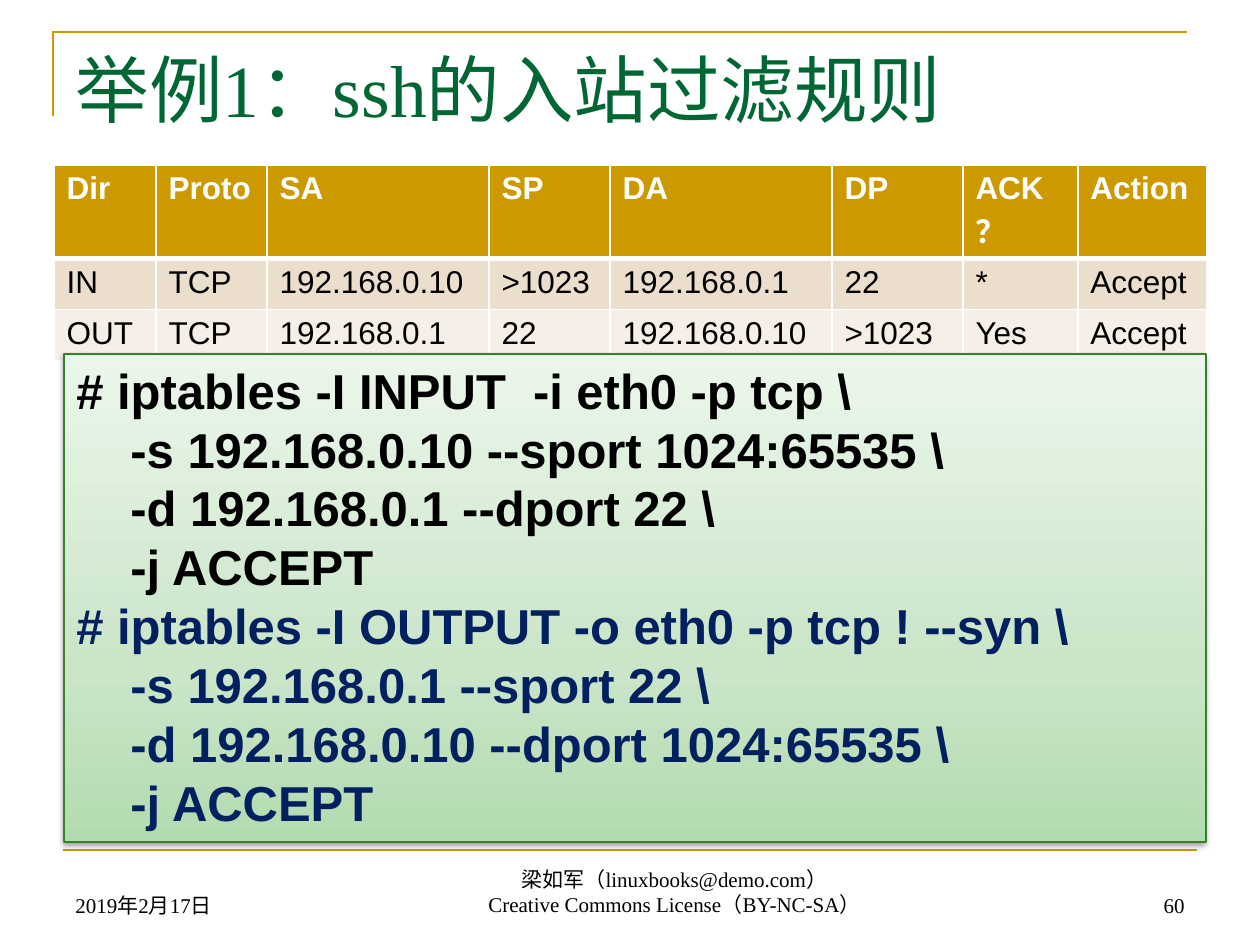
from lxml.etree import SubElement
from pptx import Presentation
from pptx.dml.color import RGBColor
from pptx.enum.shapes import MSO_CONNECTOR, MSO_SHAPE
from pptx.enum.text import MSO_ANCHOR, MSO_AUTO_SIZE, PP_ALIGN
from pptx.oxml import parse_xml
from pptx.oxml.ns import nsdecls, qn
from pptx.util import Emu, Pt

GOLD = RGBColor(0xCC, 0x99, 0x00)
GREEN = RGBColor(0x00, 0x66, 0x33)
EDGE = RGBColor(0x38, 0x80, 0x2C)
NAVY = RGBColor(0x00, 0x20, 0x60)
BLACK = RGBColor(0x00, 0x00, 0x00)
WHITE = RGBColor(0xFF, 0xFF, 0xFF)
SAND = RGBColor(0xEC, 0xDE, 0xCC)
CREAM = RGBColor(0xF6, 0xEF, 0xE7)
MINT = [(0, RGBColor(0xB3, 0xDB, 0xB0)), (35, RGBColor(0xCA, 0xE5, 0xC8)),
        (100, RGBColor(0xEB, 0xF6, 0xEA))]
SERIF, SANS = "Times New Roman", "Arial"

WIDTHS = [102, 111, 222, 121, 222, 131, 115, 129]
RULES = [
    ["Dir", "Proto", "SA", "SP", "DA", "DP", "ACK？", "Action"],
    ["IN", "TCP", "192.168.0.10", ">1023", "192.168.0.1", "22", "*", "Accept"],
    ["OUT", "TCP", "192.168.0.1", "22", "192.168.0.10", ">1023", "Yes", "Accept"],
]
INPUT = ["# iptables -I INPUT  -i eth0 -p tcp \\",
         "-s 192.168.0.10 --sport 1024:65535 \\",
         "-d 192.168.0.1 --dport 22 \\",
         "-j ACCEPT"]
OUTPUT = ["# iptables -I OUTPUT -o eth0 -p tcp ! --syn \\",
          "-s 192.168.0.1 --sport 22 \\",
          "-d 192.168.0.10 --dport 1024:65535 \\",
          "-j ACCEPT"]


def px(n):
    return Emu(round(n * 914400 / 126))


class Deck:
    def __init__(self):
        self.prs = Presentation()
        self.prs.slide_width, self.prs.slide_height = px(1260), px(945)
        self.slide = self.prs.slides.add_slide(self.prs.slide_layouts[5])
        self.shapes = self.slide.shapes

    def style(self, para, size, color, face=SERIF, bold=False):
        for run in para.runs:
            font = run.font
            font.size, font.name, font.bold = Pt(size), face, bold
            font.color.rgb = color

    def title(self, text, x, y, w, h):
        box = self.shapes.title
        box.left, box.top, box.width, box.height = map(px, (x, y, w, h))
        frame = box.text_frame
        frame.text = text
        frame.vertical_anchor = MSO_ANCHOR.TOP
        frame.auto_size = MSO_AUTO_SIZE.NONE
        frame.paragraphs[0].alignment = PP_ALIGN.LEFT
        self.style(frame.paragraphs[0], 42, GREEN)

    def corner(self, *points):
        pen = self.shapes.build_freeform(*map(px, points[0]), scale=1.0)
        pen.add_line_segments([tuple(map(px, p)) for p in points[1:]], close=False)
        shape = pen.convert_to_shape()
        shape.shadow.inherit = False
        shape.fill.background()
        shape.line.color.rgb, shape.line.width = GOLD, Pt(1.5)

    def rule(self, x, y, end):
        line = self.shapes.add_connector(
            MSO_CONNECTOR.STRAIGHT, px(x), px(y), px(end), px(y))
        line.line.color.rgb, line.line.width = GOLD, Pt(1.5)
        SubElement(line._element.spPr, qn("a:effectLst"))

    def note(self, text, x, y, w, h, align):
        frame = self.shapes.add_textbox(*map(px, (x, y, w, h))).text_frame
        frame.word_wrap = True
        frame.vertical_anchor = MSO_ANCHOR.BOTTOM
        frame.text = text
        for para in frame.paragraphs:
            para.alignment = align
            self.style(para, 12, BLACK)

    def border(self, cell, head, first):
        # Borders must precede the fill in the cell properties
        thick = {"L": 1, "R": 1, "T": 3 if first else 1, "B": 3 if head else 1}
        for i, side in enumerate("LRTB"):
            cell._tc.get_or_add_tcPr().insert(i, parse_xml(
                f'<a:ln{side} {nsdecls("a")} w="{Pt(thick[side])}"><a:solidFill>'
                f'<a:srgbClr val="{WHITE}"/></a:solidFill></a:ln{side}>'))

    def table(self, rows, widths, x, y, high):
        grid = self.shapes.add_table(
            len(rows), len(widths), px(x), px(y),
            px(sum(widths)), px(high * len(rows))).table
        for col, wide in zip(grid.columns, widths):
            col.width = px(wide)
        for r, row in enumerate(rows):
            grid.rows[r].height = px(high)
            for c, text in enumerate(row):
                cell = grid.cell(r, c)
                cell.text = text
                cell.fill.solid()
                cell.fill.fore_color.rgb = (GOLD, SAND, CREAM)[r]
                self.border(cell, r == 0, r == 1)
                self.style(cell.text_frame.paragraphs[0], 18,
                           BLACK if r else WHITE, SANS, r == 0)

    def panel(self, x, y, w, h):
        box = self.shapes.add_shape(MSO_SHAPE.RECTANGLE, *map(px, (x, y, w, h)))
        box.line.color.rgb, box.line.width = EDGE, Pt(0.75)
        stops = "".join(f'<a:gs pos="{at * 1000}"><a:srgbClr val="{tint}"/></a:gs>'
                        for at, tint in MINT)
        props = box._element.spPr
        props.find(qn("a:ln")).addprevious(parse_xml(
            f'<a:gradFill {nsdecls("a")} rotWithShape="1"><a:gsLst>{stops}</a:gsLst>'
            '<a:lin ang="16200000" scaled="0"/></a:gradFill>'))
        props.append(parse_xml(
            f'<a:effectLst {nsdecls("a")}><a:outerShdw blurRad="{Pt(3.1)}" '
            f'dist="{Pt(1.6)}" dir="5400000" rotWithShape="0"><a:srgbClr val="{BLACK}">'
            '<a:alpha val="38000"/></a:srgbClr></a:outerShdw></a:effectLst>'))
        return box.text_frame

    def code(self, blocks, *area):
        frame = self.panel(*area)
        frame.word_wrap = True
        frame.vertical_anchor = MSO_ANCHOR.TOP
        frame.auto_size = MSO_AUTO_SIZE.SHAPE_TO_FIT_TEXT
        frame.text = "\n".join(line for block, _ in blocks for line in block)
        tints = [tint for block, tint in blocks for _ in block]
        for para, tint in zip(frame.paragraphs, tints):
            para.alignment = PP_ALIGN.LEFT
            if not para.text.startswith("#"):
                para._p.get_or_add_pPr().set("marL", str(px(54)))
            self.style(para, 28, tint, SANS, True)


def main():
    deck = Deck()
    # Frame lines and title
    deck.corner((53, 116), (53, 32), (1187, 32))
    deck.rule(63, 850, 1197)
    deck.title("举例1：ssh的入站过滤规则", 63, 38, 1134, 157)
    # Filter rules
    deck.table(RULES, WIDTHS, 54, 165, 51)
    # Footer
    deck.note("2019年2月17日", 63, 861, 294, 63, PP_ALIGN.LEFT)
    deck.note("梁如军（linuxbooks@demo.com）\nCreative Commons License（BY-NC-SA）",
              302, 860, 745, 63, PP_ALIGN.CENTER)
    deck.note("60", 903, 861, 294, 63, PP_ALIGN.RIGHT)
    # Commands
    deck.code([(INPUT, BLACK), (OUTPUT, NAVY)], 64, 354, 1142, 488)
    deck.prs.save("out.pptx")


if __name__ == "__main__":
    main()
